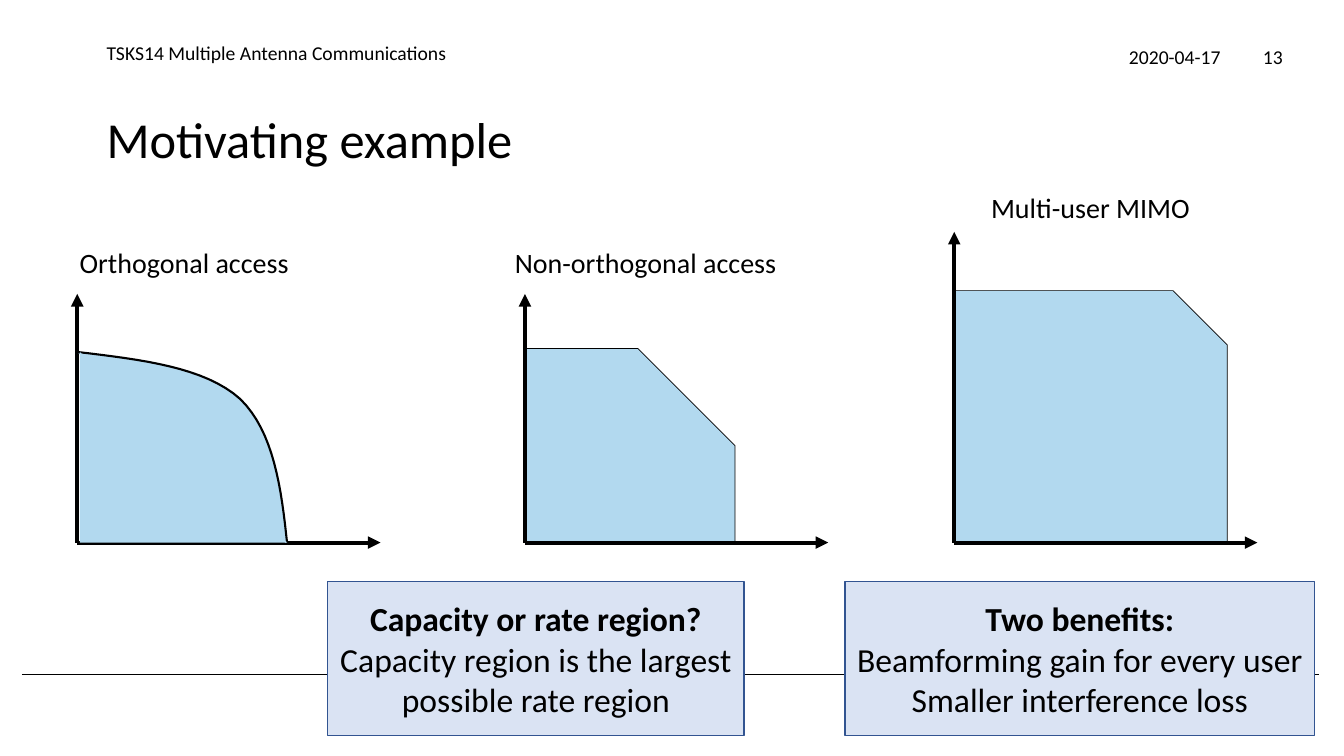
from lxml.etree import SubElement
from pptx import Presentation
from pptx.dml.color import RGBColor
from pptx.enum.shapes import MSO_CONNECTOR as Connector, MSO_SHAPE as Shape
from pptx.enum.text import MSO_ANCHOR as Anchor, PP_ALIGN as Align
from pptx.oxml.ns import qn
from pptx.util import Inches, Pt

BLACK = RGBColor(0x00, 0x00, 0x00)
SKY = RGBColor(0xB2, 0xD9, 0xEF)
PALE = RGBColor(0xDA, 0xE3, 0xF3)
NAVY = RGBColor(0x32, 0x54, 0x91)

COLUMNS, ROWS = 16, 9
BASE = 6.46          # row of all horizontal axes
AXIS_LENGTH = 3.61


class Painter:
    """Draws on one slide; lengths are columns and rows of a 16 by 9 grid."""
    font = "Calibri"

    def __init__(self, deck):
        self.page = deck.slides.add_slide(deck.slide_layouts[6])
        self.shapes = self.page.shapes
        self.column = deck.slide_width / COLUMNS
        self.row = deck.slide_height / ROWS

    def place(self, *lengths):
        units = (self.column, self.row) * 2
        return [round(length * unit) for length, unit in zip(lengths, units)]

    def fill_text(self, box, lines, size, align=Align.LEFT, anchor=Anchor.TOP, wrap=True):
        frame = box.text_frame
        frame.word_wrap = wrap
        frame.vertical_anchor = anchor
        for index, (text, bold) in enumerate(lines):
            para = frame.paragraphs[0] if index == 0 else frame.add_paragraph()
            para.alignment = align
            span = para.add_run()
            span.text = text
            span.font.name = self.font
            span.font.size = Pt(size)
            span.font.bold = bold
            span.font.color.rgb = BLACK
        return frame

    def text(self, at, words, size, **style):
        box = self.shapes.add_textbox(*self.place(*at))
        return self.fill_text(box, [(words, False)], size, **style)

    def paint(self, shape, fill, line=None, weight=0):
        shape.shadow.inherit = False
        shape.fill.solid()
        shape.fill.fore_color.rgb = fill
        if line is None:
            shape.line.fill.background()
        else:
            shape.line.color.rgb = line
            shape.line.width = Pt(weight)
        return shape

    def area(self, kind, at, fill, line=None, weight=0, adjust=None):
        shape = self.shapes.add_shape(kind, *self.place(*at))
        if adjust is not None:
            shape.adjustments[0] = adjust
        return self.paint(shape, fill, line, weight)

    def line(self, start, end, weight, arrow=False):
        line = self.shapes.add_connector(
            Connector.STRAIGHT, *self.place(*start, *end))
        line.line.color.rgb = BLACK
        line.line.width = Pt(weight)
        properties = line._element.spPr
        if arrow:
            SubElement(properties.find(qn("a:ln")), qn("a:tailEnd"), type="triangle")
        SubElement(properties, qn("a:effectLst"))

    def axes(self, left, height):
        origin = (left, BASE)
        self.line(origin, (left, BASE - height), 3, arrow=True)
        self.line(origin, (left + AXIS_LENGTH, BASE), 3, arrow=True)

    def curve(self, start, segments, fill, weight, steps=16):
        points = [start]
        for first, second, end in segments:
            begin = points[-1]
            for step in range(1, steps + 1):
                t = step / steps
                u = 1 - t
                points.append(tuple(
                    u**3 * a + 3 * u * u * t * b + 3 * u * t * t * c + t**3 * d
                    for a, b, c, d in zip(begin, first, second, end)))
        points = [self.place(*point) for point in points]
        builder = self.shapes.build_freeform(*points[0])
        builder.add_line_segments(points[1:], close=False)
        self.paint(builder.convert_to_shape(), fill, BLACK, weight)

    def callout(self, at, heading, *lines):
        box = self.area(Shape.RECTANGLE, at, PALE, NAVY, 1)
        self.fill_text(box, [(heading, True)] + [(line, False) for line in lines],
                       24, align=Align.CENTER, anchor=Anchor.MIDDLE)


def main():
    deck = Presentation()
    deck.slide_width, deck.slide_height = Inches(13.33), Inches(7.5)
    painter = Painter(deck)

    # Footer rule, title and header
    painter.line((0.26, 8.03), (15.7, 8.03), 0.75)
    title = painter.text((1.15, 1.31, 14.24, 1.09), "Motivating example", 36)
    title.paragraphs[0].line_spacing = 0.9
    painter.text((1.15, 0.47, 10.72, 0.35),
                 "TSKS14 Multiple Antenna Communications", 14, anchor=Anchor.BOTTOM)
    painter.text((12.14, 0.47, 2.51, 0.35), "2020-04-17", 14, align=Align.RIGHT)
    painter.text((14.42, 0.48, 0.97, 0.35), "13", 14, align=Align.RIGHT)

    # Orthogonal access: curved region
    painter.axes(0.92, 2.96)
    painter.curve((0.92, 4.19),
                  [((1.68, 4.28), (2.44, 4.37), (2.86, 4.75)),
                   ((3.26, 5.14), (3.35, 5.81), (3.42, 6.48))], SKY, 1.5)
    painter.area(Shape.ISOSCELES_TRIANGLE, (0.95, 4.19, 2.47, 2.27), SKY, adjust=0)

    # Non-orthogonal access and MIMO: regions with a cut corner
    for left, width, height, cut, axis_height in (
            (6.25, 2.5, 2.31, 0.5, 2.96), (11.36, 3.25, 3, 0.215, 3.7)):
        painter.area(Shape.SNIP_1_RECTANGLE, (left, BASE - height, width, height),
                     SKY, BLACK, 0.5, adjust=cut)
        painter.axes(left, axis_height)

    # Captions
    for left, top, width, words in (
            (0.83, 2.86, 2.76, "Orthogonal access"),
            (6.01, 2.86, 3.38, "Non-orthogonal access"),
            (11.68, 2.21, 2.64, "Multi-user MIMO")):
        painter.text((left, top, width, 0.53), words, 20, wrap=False)

    # Callouts
    painter.callout((10.06, 6.92, 5.59, 1.84), "Two benefits:",
                    "Beamforming gain for every user", "Smaller interference loss")
    painter.callout((3.9, 6.92, 4.96, 1.84), "Capacity or rate region?",
                    "Capacity region is the largest possible rate region")

    deck.save("out.pptx")


if __name__ == "__main__":
    main()
